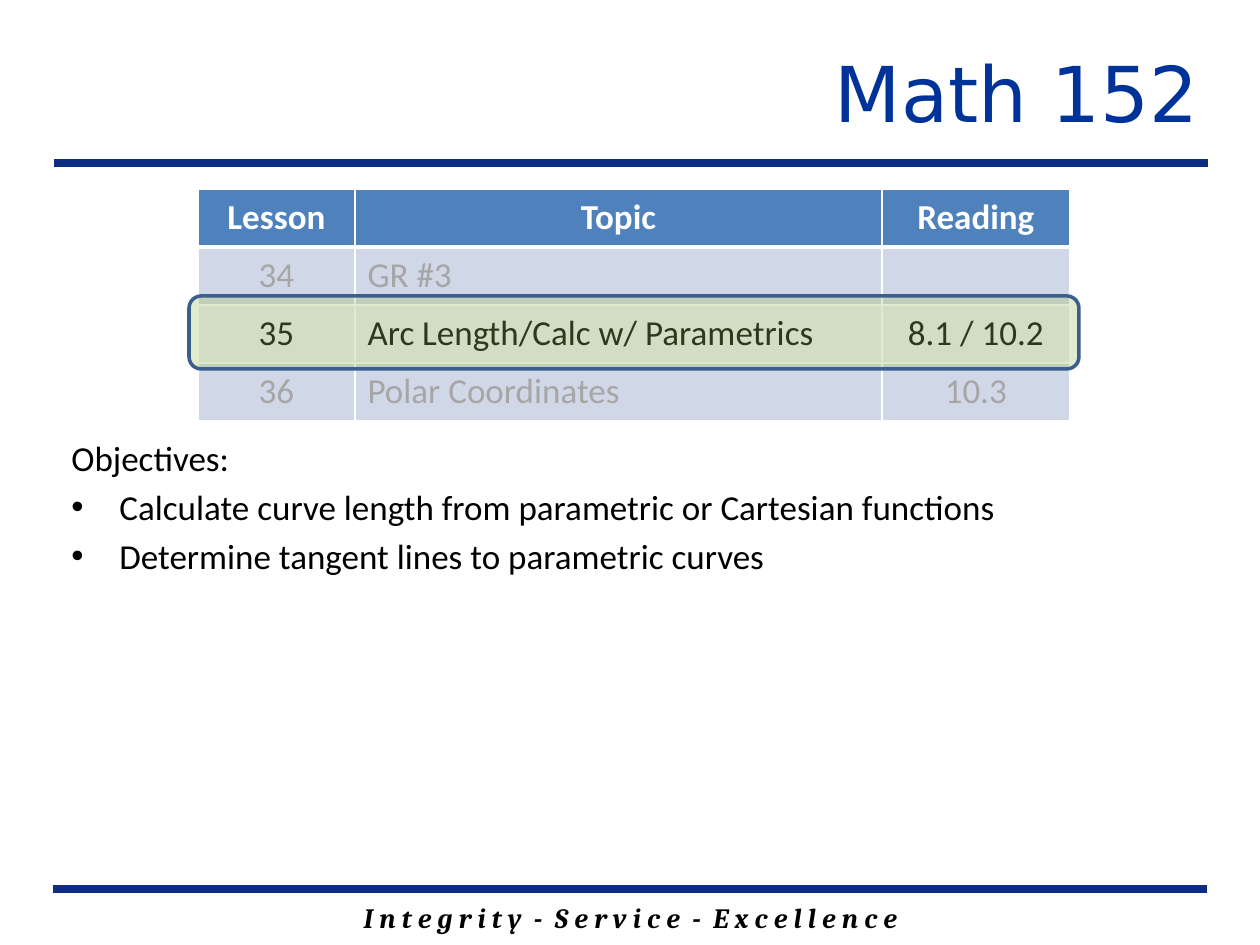
from dataclasses import dataclass

from lxml import etree
from pptx import Presentation
from pptx.dml.color import RGBColor
from pptx.enum.shapes import MSO_CONNECTOR, MSO_SHAPE
from pptx.enum.text import MSO_ANCHOR, PP_ALIGN
from pptx.oxml.ns import qn
from pptx.util import Emu, Pt

PX = 914400 // 126
LEFT, CENTER, RIGHT = PP_ALIGN.LEFT, PP_ALIGN.CENTER, PP_ALIGN.RIGHT
MIDDLE = MSO_ANCHOR.MIDDLE
STRAIGHT = MSO_CONNECTOR.STRAIGHT
ROUNDED = MSO_SHAPE.ROUNDED_RECTANGLE

RULE_BLUE = "0C2D83"
BLACK, WHITE, MUTED = "000000", "FFFFFF", "A6A6A6"
COLUMN_WIDTHS = (157, 527, 188)
COLUMN_ALIGNS = (CENTER, LEFT, CENTER)
ROW_HEIGHT = 58
BULLET_INDENT = 48


@dataclass(frozen=True)
class Box:
    left: int
    top: int
    width: int
    height: int

    def emu(self) -> tuple[Emu, ...]:
        return tuple(px(n) for n in (self.left, self.top, self.width, self.height))


@dataclass(frozen=True)
class TextStyle:
    size: int
    font: str
    color: str
    bold: bool = False
    italic: bool = False


@dataclass(frozen=True)
class LessonRow:
    texts: tuple[str, str, str]
    fill: str
    color: str
    header: bool = False


@dataclass(frozen=True)
class Rule:
    left: int
    right: int
    y: int


RULES = (Rule(53, 1207, 889), Rule(54, 1208, 163))
LESSONS = (
    LessonRow(("Lesson", "Topic", "Reading"), "4F81BD", WHITE, header=True),
    LessonRow(("34", "GR #3", ""), "D0D8E8", MUTED),
    LessonRow(("35", "Arc Length/Calc w/ Parametrics", "8.1 / 10.2"), "E9EDF4", BLACK),
    LessonRow(("36", "Polar Coordinates", "10.3"), "D0D8E8", MUTED),
)
OBJECTIVES = (
    "Calculate curve length from parametric or Cartesian functions",
    "Determine tangent lines to parametric curves",
)


def px(count: int) -> Emu:
    return Emu(count * PX)


def rgb(value: str) -> RGBColor:
    return RGBColor.from_string(value)


def write(paragraph, text: str, style: TextStyle, align=LEFT) -> None:
    paragraph.text = text
    paragraph.alignment = align
    for run in paragraph.runs:
        font = run.font
        font.size, font.name = Pt(style.size), style.font
        font.bold, font.italic = style.bold, style.italic
        font.color.rgb = rgb(style.color)


def add_text_frame(slide, box: Box):
    frame = slide.shapes.add_textbox(*box.emu()).text_frame
    frame.word_wrap = True
    return frame


def add_rule(slide, rule: Rule) -> None:
    connector = slide.shapes.add_connector(
        STRAIGHT, px(rule.left), px(rule.y), px(rule.right), px(rule.y)
    )
    connector.line.color.rgb = rgb(RULE_BLUE)
    connector.line.width = Pt(4.5)
    etree.SubElement(connector._element.spPr, qn("a:effectLst"))


def set_borders(cell, widths: dict[str, int]) -> None:
    """Put white borders, in points by side, ahead of the cell's fill."""
    properties = cell._tc.get_or_add_tcPr()
    for position, (side, width) in enumerate(widths.items()):
        border = etree.Element(qn(f"a:ln{side}"), w=str(Pt(width)))
        fill = etree.SubElement(border, qn("a:solidFill"))
        etree.SubElement(fill, qn("a:srgbClr"), val=WHITE)
        properties.insert(position, border)


def add_lessons(slide, left: int, top: int) -> None:
    box = Box(left, top, sum(COLUMN_WIDTHS), ROW_HEIGHT * len(LESSONS))
    table = slide.shapes.add_table(len(LESSONS), len(COLUMN_WIDTHS), *box.emu()).table
    for column, width in zip(table.columns, COLUMN_WIDTHS):
        column.width = px(width)
    for index, lesson in enumerate(LESSONS):
        table.rows[index].height = px(ROW_HEIGHT)
        style = TextStyle(20, "Calibri", lesson.color, bold=lesson.header)
        borders = {"L": 1, "R": 1, "T": 3 if index == 1 else 1, "B": 3 if lesson.header else 1}
        for cell, text, align in zip(table.rows[index].cells, lesson.texts, COLUMN_ALIGNS):
            cell.vertical_anchor = MIDDLE
            cell.fill.solid()
            cell.fill.fore_color.rgb = rgb(lesson.fill)
            write(cell.text_frame.paragraphs[0], text, style, CENTER if lesson.header else align)
            set_borders(cell, borders)


def add_highlight(slide, box: Box) -> None:
    highlight = slide.shapes.add_shape(ROUNDED, *box.emu())
    highlight.shadow.inherit = False
    highlight.fill.solid()
    highlight.fill.fore_color.rgb = rgb("9BBB59")
    tint = highlight._element.spPr.find(qn("a:solidFill"))[0]
    etree.SubElement(tint, qn("a:alpha"), val="30000")
    highlight.line.color.rgb = rgb("3A5F8C")
    highlight.line.width = Pt(2)


def add_bullet(paragraph) -> None:
    properties = paragraph._p.get_or_add_pPr()
    properties.set("marL", str(px(BULLET_INDENT)))
    properties.set("indent", str(-px(BULLET_INDENT)))
    etree.SubElement(properties, qn("a:buFont"), typeface="Arial")
    etree.SubElement(properties, qn("a:buChar"), char="•")


def add_objectives(slide, box: Box) -> None:
    frame = add_text_frame(slide, box)
    style = TextStyle(20, "Calibri", BLACK)
    write(frame.paragraphs[0], "Objectives:", style)
    for objective in OBJECTIVES:
        paragraph = frame.add_paragraph()
        write(paragraph, objective, style)
        paragraph.space_before = Pt(4)
        add_bullet(paragraph)


def set_title(slide, text: str, box: Box) -> None:
    title = slide.shapes.title
    title.left, title.top, title.width, title.height = box.emu()
    title.text_frame.vertical_anchor = MIDDLE
    write(title.text_frame.paragraphs[0], text, TextStyle(44, "DejaVu Sans", "003399"), RIGHT)


def main() -> None:
    presentation = Presentation()
    presentation.slide_width, presentation.slide_height = px(1260), px(945)
    slide = presentation.slides.add_slide(presentation.slide_layouts[5])

    motto = add_text_frame(slide, Box(179, 894, 903, 47))
    write(
        motto.paragraphs[0],
        "I n t e g r i t y  -  S e r v i c e  -  E x c e l l e n c e",
        TextStyle(16, "Cambria", BLACK, bold=True, italic=True),
        CENTER,
    )
    for rule in RULES:
        add_rule(slide, rule)
    set_title(slide, "Math 152", Box(277, 13, 935, 157))
    add_lessons(slide, 198, 189)
    add_highlight(slide, Box(189, 296, 890, 73))
    add_objectives(slide, Box(59, 430, 1134, 357))

    presentation.save("out.pptx")


if __name__ == "__main__":
    main()
